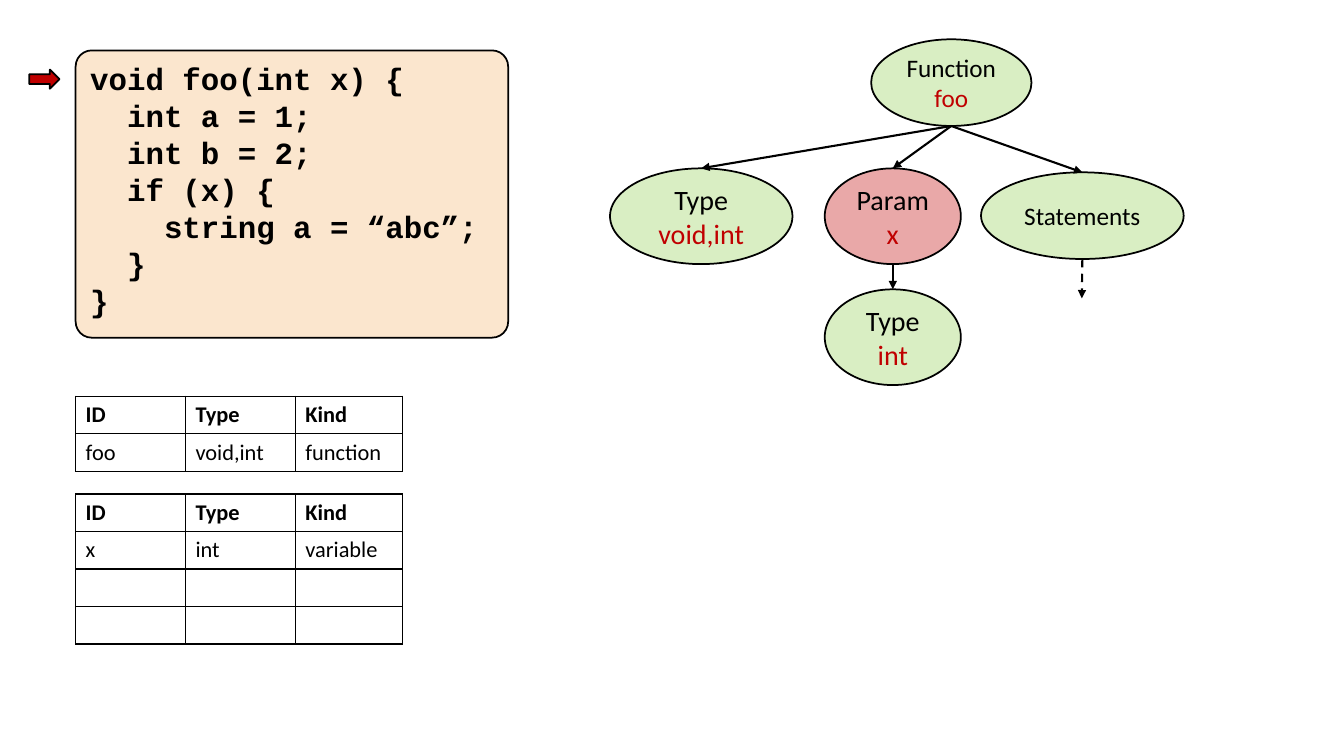
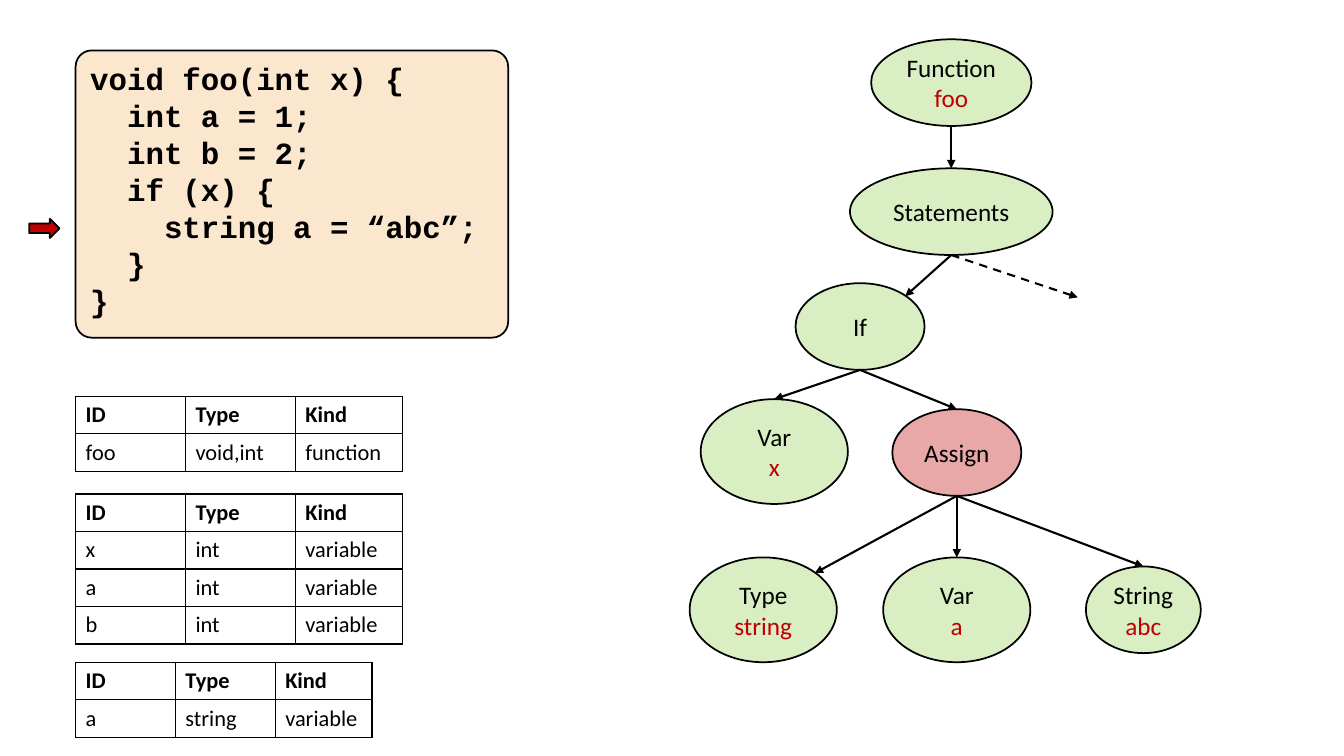
from pptx import Presentation
from pptx.dml.color import RGBColor
from pptx.enum.dml import MSO_LINE
from pptx.enum.shapes import MSO_CONNECTOR, MSO_SHAPE
from pptx.enum.text import MSO_ANCHOR, PP_ALIGN
from pptx.oxml.ns import qn
from pptx.util import Inches, Pt
from lxml import etree

DASH = MSO_LINE.DASH
STRAIGHT = MSO_CONNECTOR.STRAIGHT
ROUNDED = MSO_SHAPE.ROUNDED_RECTANGLE
ELLIPSE = MSO_SHAPE.OVAL
RIGHT_ARROW = MSO_SHAPE.RIGHT_ARROW
TOP, MIDDLE = MSO_ANCHOR.TOP, MSO_ANCHOR.MIDDLE
LEFT, CENTER = PP_ALIGN.LEFT, PP_ALIGN.CENTER

BLACK = RGBColor(0x00, 0x00, 0x00)
WHITE = RGBColor(0xFF, 0xFF, 0xFF)
CREAM = RGBColor(0xFB, 0xE6, 0xCE)
GREEN = RGBColor(0x92, 0xD0, 0x50)
RED = RGBColor(0xC0, 0x00, 0x00)

CODE = [
    "void foo(int x) {",
    "  int a = 1;",
    "  int b = 2;",
    "  if (x) {",
    "    string a = “abc”;",
    "  }",
    "}",
]
HEADER = ["ID", "Type", "Kind"]
ROW_HEIGHT = 0.36
WIDE, NARROW = [1.09, 1.09, 1.06], [0.99, 0.99, 0.96]
GLOBAL_SCOPE = (3.93, WIDE, [["foo", "void,int", "function"]])
X_ROW = ["x", "int", "variable"]
EMPTY_ROW = ["", "", ""]
FUNCTION_NODE = (8.64, 0.39, 1.59, 0.86, 18, "Function", "foo")

# nodes: left, top, width, height, text size, label, value
# edges: parent, child, child's side
STEPS = [
    {
        "marker_top": 0.69,
        "scopes": [GLOBAL_SCOPE, (4.9, WIDE, [X_ROW, EMPTY_ROW, EMPTY_ROW])],
        "nodes": {
            "function": FUNCTION_NODE,
            "statements": (9.73, 1.71, 2.01, 0.86, 18, "Statements", ""),
            "signature": (6.05, 1.67, 1.81, 0.95, 20, "Type", "void,int"),
            "param": (8.18, 1.67, 1.35, 0.95, 20, "Param", "x"),
            "param type": (8.18, 2.87, 1.35, 0.95, 20, "Type", "int"),
        },
        "current": "param",
        "edges": [
            ("function", "statements", "top"),
            ("function", "param", "top"),
            ("function", "signature", "top"),
            ("param", "param type", "top"),
        ],
        "rest_end": (10.73, 2.96),
    },
    {
        "marker_top": 2.17,
        "scopes": [
            GLOBAL_SCOPE,
            (4.9, WIDE, [X_ROW, ["a", "int", "variable"], ["b", "int", "variable"]]),
            (6.57, NARROW, [["a", "string", "variable"]]),
        ],
        "nodes": {
            "function": FUNCTION_NODE,
            "statements": (8.43, 1.67, 2.01, 0.86, 18, "Statements", ""),
            "if": (7.89, 2.81, 1.28, 0.86, 18, "If", ""),
            "condition": (6.95, 3.96, 1.46, 1.04, 18, "Var", "x"),
            "assign": (8.85, 4.06, 1.28, 0.86, 18, "Assign", ""),
            "type": (6.84, 5.53, 1.46, 1.04, 18, "Type", "string"),
            "target": (8.76, 5.53, 1.46, 1.04, 18, "Var", "a"),
            "literal": (10.77, 5.62, 1.14, 0.86, 18, "String", "abc"),
        },
        "current": "assign",
        "edges": [
            ("function", "statements", "top"),
            ("statements", "if", "corner"),
            ("if", "condition", "top"),
            ("if", "assign", "top"),
            ("assign", "type", "corner"),
            ("assign", "target", "top"),
            ("assign", "literal", "top"),
        ],
        "rest_end": (10.69, 2.95),
    },
]


def add_outlined(slide, preset, box, color):
    shape = slide.shapes.add_shape(preset, *[Inches(length) for length in box])
    shape.shadow.inherit = False
    shape.fill.solid()
    shape.fill.fore_color.rgb = color
    shape.line.color.rgb = BLACK
    shape.line.width = Pt(1.25)
    return shape


def write_lines(shape, lines, colors, font_name, size, bold, align):
    shape.text_frame.word_wrap = False
    shape.text_frame.text = "\n".join(lines)
    for paragraph, color in zip(shape.text_frame.paragraphs, colors):
        paragraph.alignment = align
        paragraph.font.name = font_name
        paragraph.font.size = Pt(size)
        paragraph.font.bold = bold
        paragraph.font.color.rgb = color


prs = Presentation()
prs.slide_width = Inches(13.33)
prs.slide_height = Inches(7.5)

for step in STEPS:
    slide = prs.slides.add_slide(prs.slide_layouts[6])

    code = add_outlined(slide, ROUNDED, (0.75, 0.5, 4.29, 2.85), CREAM)
    code.adjustments[0] = 0.056
    code.text_frame.vertical_anchor = TOP
    write_lines(code, CODE, [BLACK] * len(CODE), "Courier New", 22, True, LEFT)
    add_outlined(slide, RIGHT_ARROW, (0.29, step["marker_top"], 0.3, 0.19), RED)

    for top, widths, symbols in step["scopes"]:
        rows = [HEADER] + symbols
        scope = slide.shapes.add_table(
            len(rows), len(HEADER), Inches(0.75), Inches(top),
            Inches(sum(widths)), Inches(ROW_HEIGHT * len(rows))).table
        scope.first_row = False
        scope.horz_banding = False
        for column, width in zip(scope.columns, widths):
            column.width = Inches(width)
        for row_index, row in enumerate(rows):
            scope.rows[row_index].height = Inches(ROW_HEIGHT)
            for column_index, entry in enumerate(row):
                cell = scope.cell(row_index, column_index)
                properties = cell._tc.get_or_add_tcPr()
                for side in ("a:lnL", "a:lnR", "a:lnT", "a:lnB"):
                    border = etree.SubElement(properties, qn(side), w=str(Pt(1)))
                    paint = etree.SubElement(border, qn("a:solidFill"))
                    etree.SubElement(paint, qn("a:srgbClr"), val=str(BLACK))
                cell.fill.solid()
                cell.fill.fore_color.rgb = WHITE
                cell.text = entry
                font = cell.text_frame.paragraphs[0].font
                font.name = "Calibri"
                font.size = Pt(16)
                font.bold = row_index == 0
                font.color.rgb = BLACK

    nodes = step["nodes"]
    for name, (left, top, width, height, size, label, value) in nodes.items():
        color = RED if name == step["current"] else GREEN
        node = add_outlined(slide, ELLIPSE, (left, top, width, height), color)
        tint = node._element.spPr.find(qn("a:solidFill"))[0]
        etree.SubElement(tint, qn("a:alpha"), val="34000")
        node.text_frame.vertical_anchor = MIDDLE
        lines = [label, value] if value else [label]
        write_lines(node, lines, [BLACK, RED], "Calibri", size, False, CENTER)

    links = []
    for parent, child, side in step["edges"]:
        left, top, width, height = nodes[child][:4]
        if side == "top":
            end = (left + width / 2, top)
        else:
            end = (left + width * 0.85, top + height * 0.15)
        links.append((parent, end, False))
    links.append(("statements", step["rest_end"], True))

    for parent, end, dashed in links:
        left, top, width, height = nodes[parent][:4]
        start = (left + width / 2, top + height)
        edge = slide.shapes.add_connector(
            STRAIGHT, *[Inches(length) for length in start + end])
        edge.line.color.rgb = BLACK
        edge.line.width = Pt(1.5)
        if dashed:
            edge.line.dash_style = DASH
        outline = edge._element.spPr.find(qn("a:ln"))
        etree.SubElement(outline, qn("a:tailEnd"), type="triangle")
        etree.SubElement(edge._element.spPr, qn("a:effectLst"))

prs.save("out.pptx")
